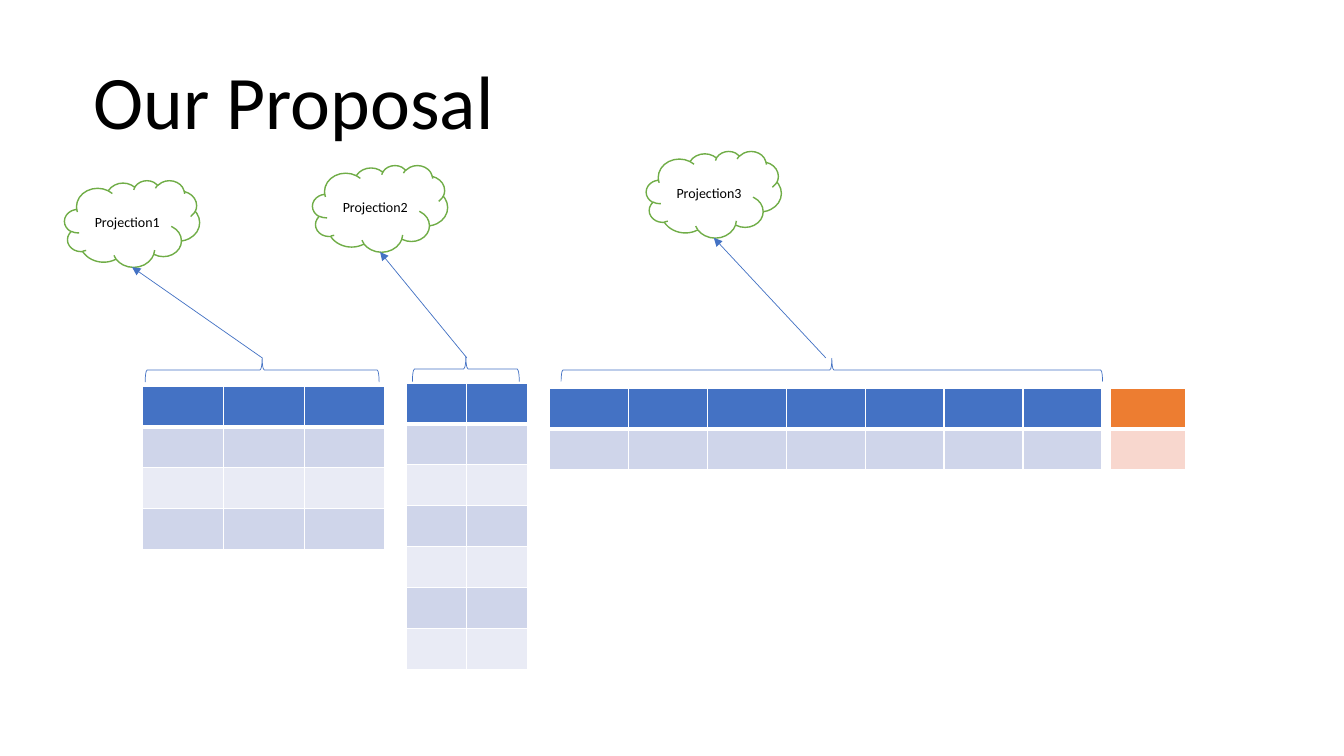
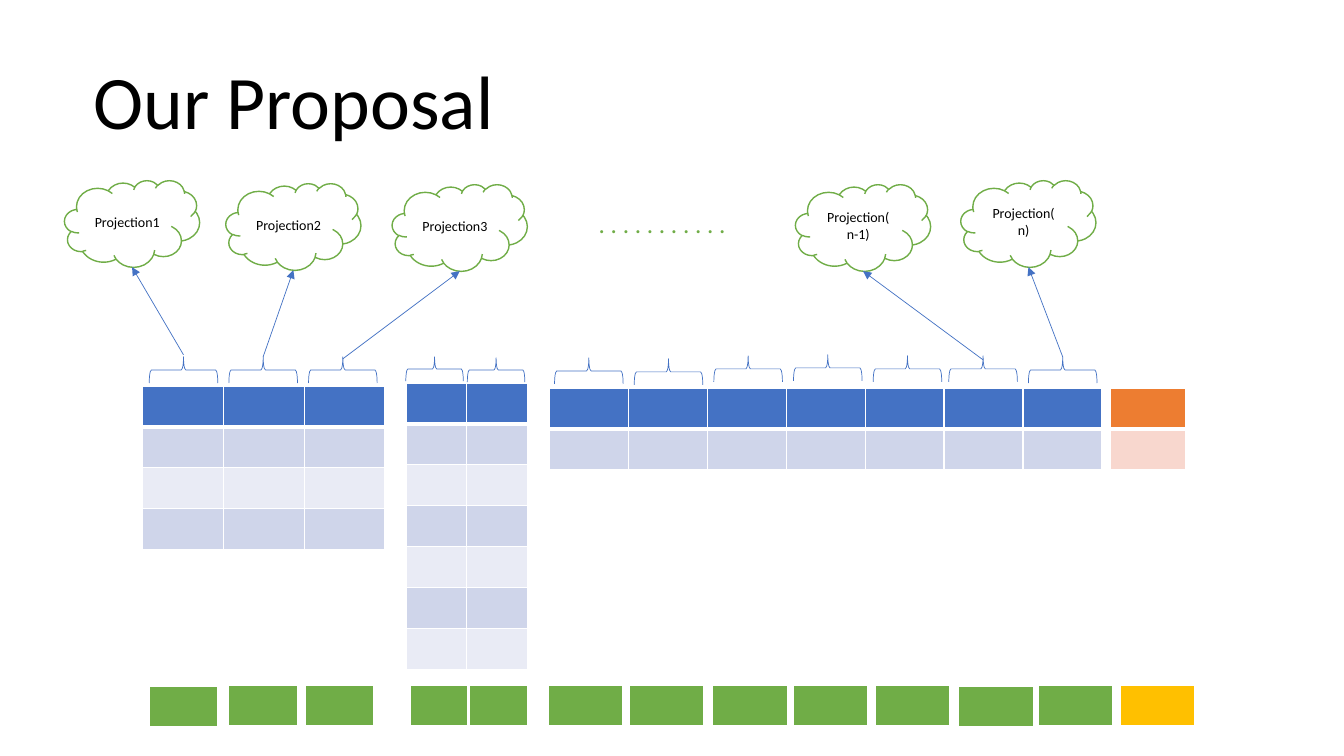
"""Build two proposal slides that link table columns to their projections."""
from lxml import etree
from pptx import Presentation
from pptx import util as u
from pptx.dml.color import RGBColor
from pptx.enum import shapes, text
from pptx.oxml.ns import qn

FONT = "Calibri"
BLACK = RGBColor(0x00, 0x00, 0x00)
WHITE = RGBColor(0xFF, 0xFF, 0xFF)
BLUE = RGBColor(0x44, 0x72, 0xC4)
BAND_DARK = RGBColor(0xCF, 0xD5, 0xEA)
BAND_LIGHT = RGBColor(0xE9, 0xEB, 0xF5)
ORANGE = RGBColor(0xED, 0x7D, 0x31)
PEACH = RGBColor(0xF8, 0xD7, 0xCE)
GREEN = RGBColor(0x70, 0xAD, 0x47)
GOLD = RGBColor(0xFF, 0xC0, 0x00)

CLOUD_WIDTH, CLOUD_HEIGHT, CLOUD_FOOT = 1.34, 0.86, 0.67
STRIP_HEIGHT = 0.41


def add_grid(page, left, top, width, height, columns, row_colors):
    """Add a table with one fill per row and a thick rule under its header."""
    rows = len(row_colors)
    table = page.shapes.add_table(rows, columns, u.Inches(left), u.Inches(top),
                                  u.Inches(width), u.Inches(height)).table
    for row, color in enumerate(row_colors):
        for column in range(columns):
            cell = table.cell(row, column)
            props = cell._tc.get_or_add_tcPr()
            widths = {"lnL": 1, "lnR": 1, "lnT": 3 if row == 1 else 1,
                      "lnB": 3 if row == 0 else 1}
            for side, points in widths.items():
                border = etree.SubElement(props, qn("a:" + side), w=str(u.Pt(points)))
                paint = etree.SubElement(border, qn("a:solidFill"))
                etree.SubElement(paint, qn("a:srgbClr"), val=str(WHITE))
            cell.fill.solid()
            cell.fill.fore_color.rgb = color


def add_run(para, words, size, color):
    """Add one styled run to a paragraph."""
    span = para.add_run()
    span.text = words
    span.font.name = FONT
    span.font.size = u.Pt(size)
    span.font.color.rgb = color


GRIDS = [
    (5.45, 3.85, 5.48, 0.81, 7, [BLUE, BAND_DARK]),
    (11.01, 3.85, 0.75, 0.81, 1, [ORANGE, PEACH]),
    (1.41, 3.83, 2.41, 1.62, 3, [BLUE, BAND_DARK, BAND_LIGHT, BAND_DARK]),
    (4.03, 3.8, 1.2, 2.84, 2, [BLUE] + [BAND_DARK, BAND_LIGHT] * 3),
]
TITLE = ("Our Proposal", 0.83, 0.49, 4.21, 1.01, 54, BLACK)
DOTS = (". " * 11, 5.84, 2.02, 1.53, 0.4, 18, GREEN)

group_braces = [(2.6, 3.67, 2.32, 0.24), (4.62, 3.66, 1.06, 0.25), (8.25, 3.67, 5.37, 0.23)]
column_braces = [(x, y, 0.68, 0.26) for x, y in [
    (1.82, 3.67), (2.61, 3.67), (3.4, 3.67), (5.84, 3.68), (6.63, 3.69), (7.42, 3.66),
    (8.21, 3.65), (9, 3.66), (9.75, 3.66), (10.54, 3.67)]]
column_braces += [(4.31, 3.66, 0.57, 0.24), (4.92, 3.67, 0.57, 0.24)]

group_clouds = [
    ("Projection1", 0.64, 1.79, 2.6, 3.55),
    ("Projection2", 3.1, 1.64, 4.63, 3.55),
    ("Projection3", 6.41, 1.5, 8.19, 3.55),
]
column_clouds = [
    ("Projection1", 0.64, 1.79, 1.82, 3.52),
    ("Projection2", 2.24, 1.82, 2.61, 3.54),
    ("Projection3", 3.89, 1.83, 3.4, 3.56),
    ("Projection(n-1)", 7.89, 1.83, 9.75, 3.57),
    ("Projection(n)", 9.53, 1.79, 10.54, 3.54),
]

strip_cells = [(left, 6.8, 0.68, GREEN) for left in (2.27, 3.03)]
strip_cells += [(left, 6.8, 0.57, GREEN) for left in (4.07, 4.66)]
strip_cells += [(left, 6.8, 0.74, GREEN) for left in (5.44, 6.24, 7.07, 7.87, 8.68, 10.3)]
strip_cells += [(1.48, 6.81, 0.68, GREEN), (9.51, 6.81, 0.74, GREEN), (11.11, 6.8, 0.74, GOLD)]

PAGES = [
    ([TITLE], group_braces, group_clouds, []),
    ([TITLE, DOTS], column_braces, column_clouds, strip_cells),
]

deck = Presentation()
deck.slide_width, deck.slide_height = u.Inches(13.33), u.Inches(7.5)

for labels, braces, clouds, strip in PAGES:
    page = deck.slides.add_slide(deck.slide_layouts[6])

    for words, left, top, width, height, size, color in labels:
        box = page.shapes.add_textbox(u.Inches(left), u.Inches(top),
                                      u.Inches(width), u.Inches(height))
        box.text_frame.word_wrap = False
        box.text_frame.auto_size = text.MSO_AUTO_SIZE.SHAPE_TO_FIT_TEXT
        add_run(box.text_frame.paragraphs[0], words, size, color)

    for grid in GRIDS:
        add_grid(page, *grid)

    for center_x, center_y, span_width, depth in braces:
        brace = page.shapes.add_shape(
            shapes.MSO_SHAPE.LEFT_BRACE,
            u.Inches(center_x - depth / 2), u.Inches(center_y - span_width / 2),
            u.Inches(depth), u.Inches(span_width))
        brace.rotation = 90
        brace.shadow.inherit = False
        brace.fill.background()
        brace.line.color.rgb = BLUE
        brace.line.width = u.Pt(0.5)

    for words, left, top, start_x, start_y in clouds:
        cloud = page.shapes.add_shape(shapes.MSO_SHAPE.CLOUD, u.Inches(left), u.Inches(top),
                                      u.Inches(CLOUD_WIDTH), u.Inches(CLOUD_HEIGHT))
        cloud.shadow.inherit = False
        cloud.fill.solid()
        cloud.fill.fore_color.rgb = WHITE
        cloud.line.color.rgb = GREEN
        cloud.line.width = u.Pt(1)
        cloud.text_frame.word_wrap = True
        cloud.text_frame.vertical_anchor = text.MSO_ANCHOR.MIDDLE
        para = cloud.text_frame.paragraphs[0]
        para.alignment = text.PP_ALIGN.CENTER
        add_run(para, words, 10, BLACK)

        arrow = page.shapes.add_connector(
            shapes.MSO_CONNECTOR.STRAIGHT, u.Inches(start_x), u.Inches(start_y),
            u.Inches(left + CLOUD_FOOT), u.Inches(top + CLOUD_HEIGHT))
        arrow.line.color.rgb = BLUE
        arrow.line.width = u.Pt(0.5)
        etree.SubElement(arrow.line._get_or_add_ln(), qn("a:tailEnd"), type="triangle")
        etree.SubElement(arrow._element.spPr, qn("a:effectLst"))

    for left, top, width, color in strip:
        add_grid(page, left, top, width, STRIP_HEIGHT, 1, [color])

deck.save("out.pptx")
